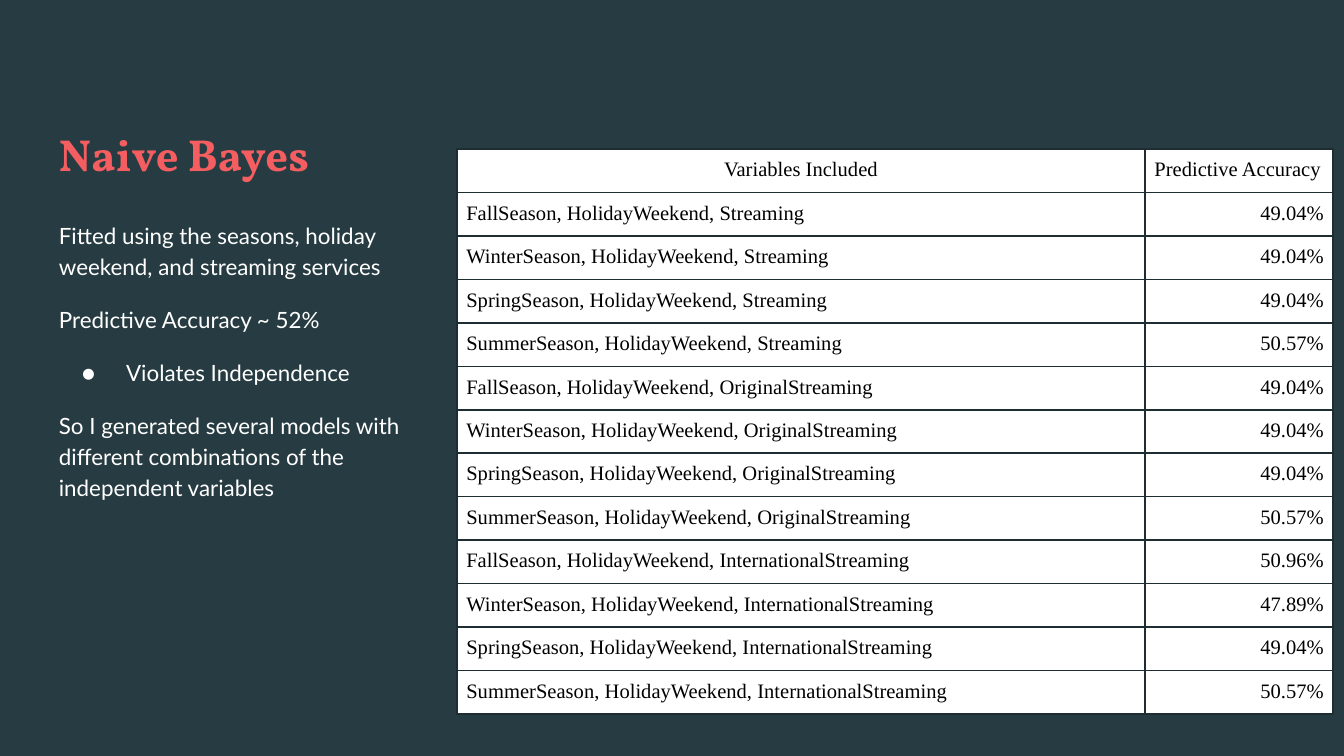
from itertools import product

from lxml.etree import SubElement
from pptx import Presentation
from pptx.dml.color import RGBColor
from pptx.enum.text import MSO_ANCHOR, PP_ALIGN
from pptx.oxml.ns import qn
from pptx.util import Inches, Pt

COLORS = {"bg": "273C42", "title": "F55E61", "text": "FFFFFF",
          "cell": "FFFFFF", "cell_text": "000000", "border": "1E2D31"}


class Deck:
    def __init__(self, width, height):
        self.prs = Presentation()
        self.prs.slide_width, self.prs.slide_height = Inches(width), Inches(height)
        self.s = self.prs.slides.add_slide(self.prs.slide_layouts[6])
        fill = self.s.background.fill
        fill.solid()
        fill.fore_color.rgb = self.color("bg")

    def color(self, name):
        return RGBColor.from_string(COLORS[name])

    def font(self, target, name, size, color, bold=False):
        font = target.font
        font.name, font.size, font.bold = name, Pt(size), bold
        font.color.rgb = self.color(color)

    def box(self, x, y, w, h, anchor):
        tf = self.s.shapes.add_textbox(Inches(x), Inches(y), Inches(w), Inches(h)).text_frame
        tf.word_wrap = True
        tf.vertical_anchor = anchor
        tf.margin_left = tf.margin_right = tf.margin_top = tf.margin_bottom = Inches(0.1)
        return tf

    def title(self, text, x, y, w, h):
        p = self.box(x, y, w, h, MSO_ANCHOR.BOTTOM).paragraphs[0]
        p.text = text
        self.font(p, "Vollkorn", 24, "title", True)

    def body(self, items, x, y, w, h):
        tf = self.box(x, y, w, h, MSO_ANCHOR.TOP)
        for i, (text, bulleted) in enumerate(items):
            p = tf.add_paragraph() if i else tf.paragraphs[0]
            p.text = text
            p.line_spacing = 1.15
            p.space_before = Pt(12 if i else 0)
            self.font(p.runs[0] if bulleted else p, "Lato", 12, "text")
            if bulleted:
                self.bullet(p)
        p.space_after = Pt(12)

    def bullet(self, p):
        pPr = p._p.get_or_add_pPr()
        pPr.set("marL", str(Inches(0.5)))
        pPr.set("indent", str(Inches(-0.33)))
        clr = SubElement(pPr, qn("a:buClr"))
        SubElement(clr, qn("a:srgbClr"), val=COLORS["text"])
        SubElement(pPr, qn("a:buFont"), typeface="Lato")
        SubElement(pPr, qn("a:buChar"), char="●")

    def table(self, rows, x, y, widths, row_height):
        shape = self.s.shapes.add_table(len(rows), len(widths), Inches(x), Inches(y),
                                        Inches(sum(widths)), Inches(row_height * len(rows)))
        table = shape.table
        for column, width in zip(table.columns, widths):
            column.width = Inches(width)
        for i, row in enumerate(rows):
            for j, text in enumerate(row):
                if i == 0:
                    align = PP_ALIGN.LEFT if j else PP_ALIGN.CENTER
                else:
                    align = PP_ALIGN.RIGHT if j else PP_ALIGN.LEFT
                self.cell(table.cell(i, j), text, align)

    def cell(self, cell, text, align):
        cell.margin_left = cell.margin_right = Inches(0.07)
        cell.margin_top = cell.margin_bottom = Inches(0.07)
        tcPr = cell._tc.get_or_add_tcPr()
        for side in "LRTB":
            ln = SubElement(tcPr, qn(f"a:ln{side}"), w=str(Pt(1)))
            SubElement(SubElement(ln, qn("a:solidFill")), qn("a:srgbClr"), val=COLORS["border"])
        cell.fill.solid()
        cell.fill.fore_color.rgb = self.color("cell")
        p = cell.text_frame.paragraphs[0]
        p.text = text
        p.alignment = align
        self.font(p, "Times New Roman", 11, "cell_text")


def main():
    seasons = ["Fall", "Winter", "Spring", "Summer"]
    services = ["Streaming", "OriginalStreaming", "InternationalStreaming"]
    accuracies = ["49.04%", "49.04%", "49.04%", "50.57%",
                  "49.04%", "49.04%", "49.04%", "50.57%",
                  "50.96%", "47.89%", "49.04%", "50.57%"]
    models = [f"{season}Season, HolidayWeekend, {service}"
              for service, season in product(services, seasons)]

    deck = Deck(10, 5.625)
    deck.title("Naive Bayes", 0.34, 0.61, 3.07, 0.83)
    deck.table([("Variables Included", "Predictive Accuracy"), *zip(models, accuracies)],
               3.4, 1.11, [5.12, 1.4], 0.01)
    deck.body([
        ("Fitted using the seasons, holiday weekend, and streaming services", False),
        ("Predictive Accuracy ~ 52%", False),
        ("Violates Independence", True),
        ("So I generated several models with different combinations of the independent variables", False),
    ], 0.34, 1.52, 3.07, 3.48)
    deck.prs.save("out.pptx")


if __name__ == "__main__":
    main()
